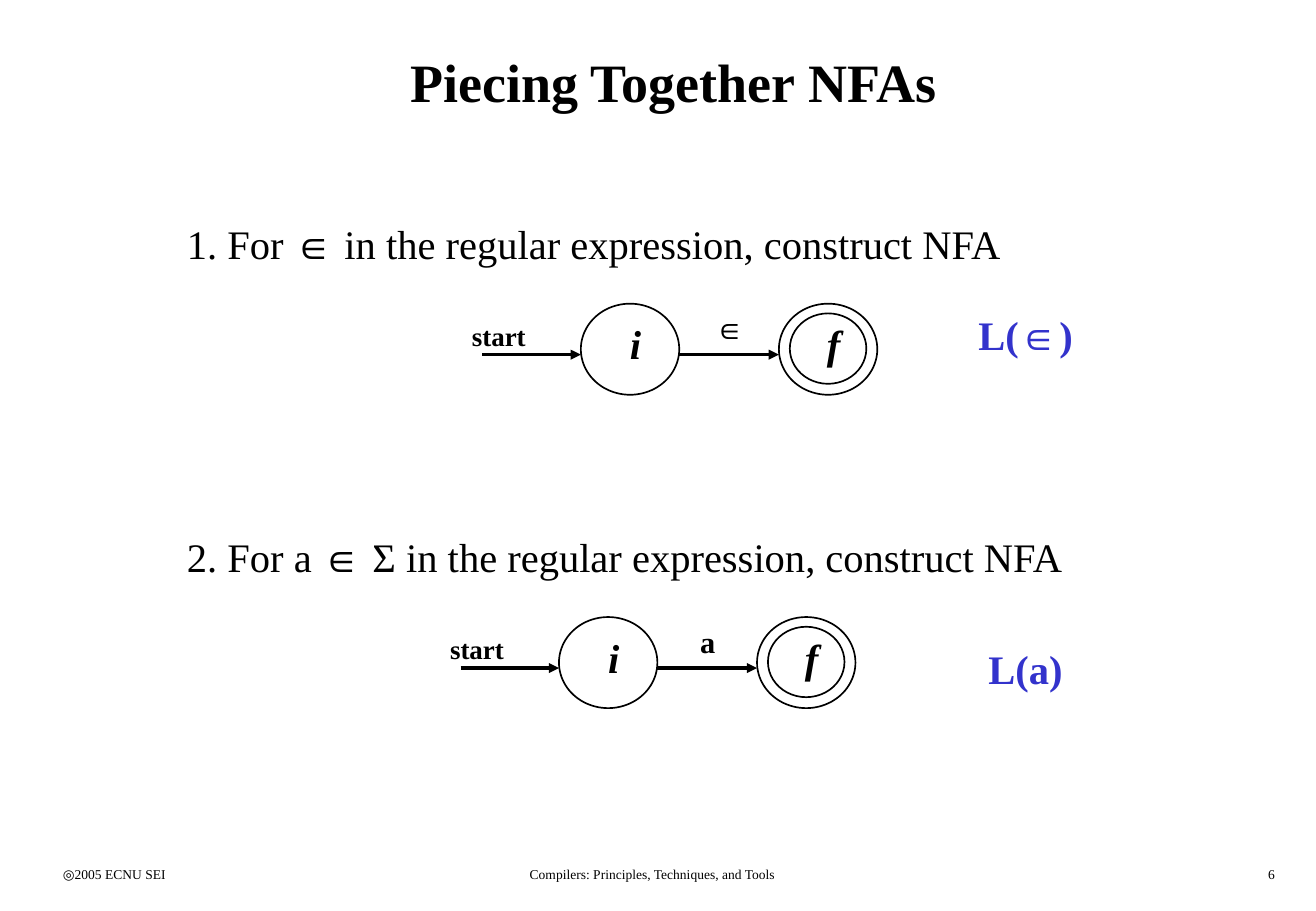
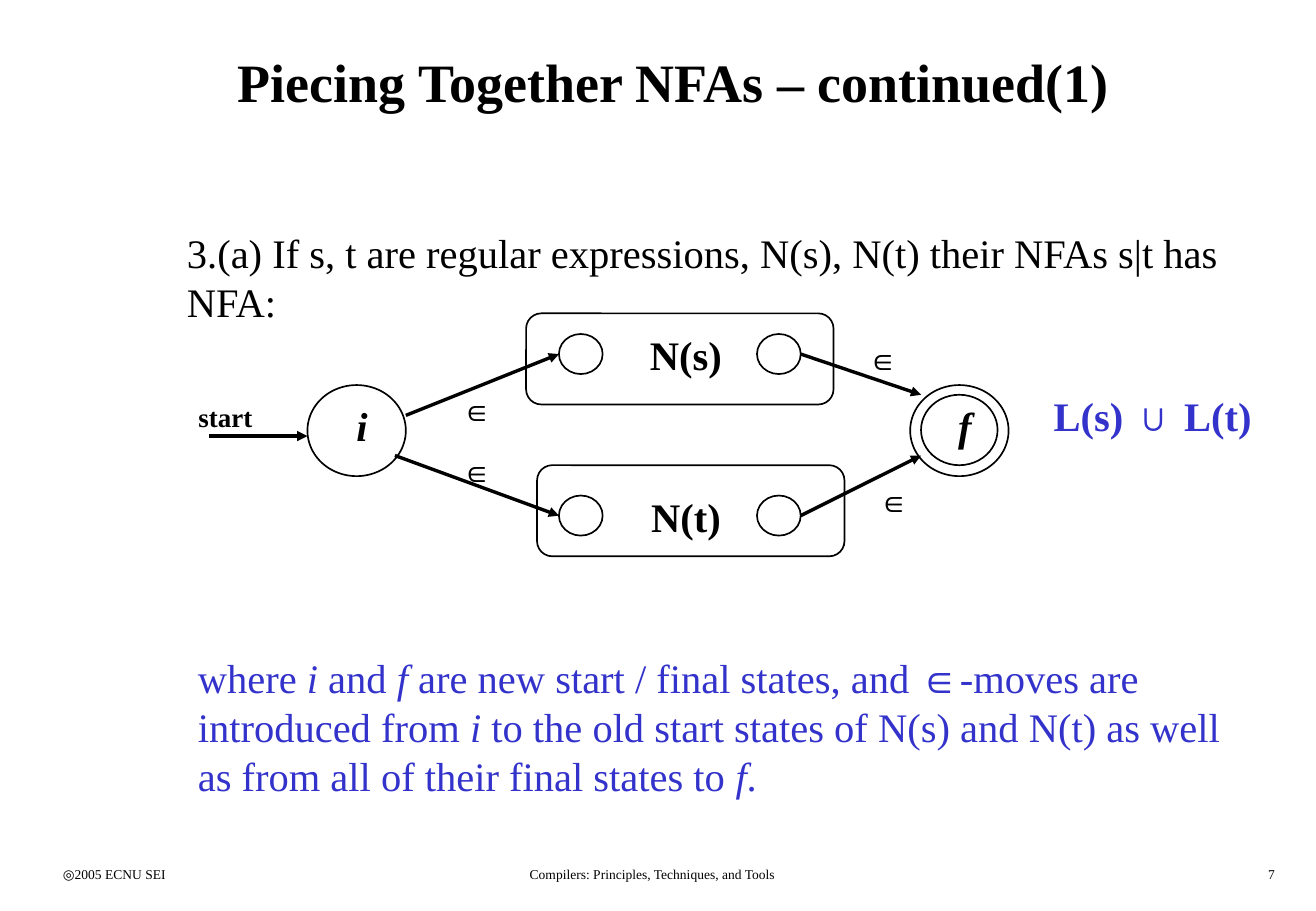
from dataclasses import dataclass

from lxml import etree
from pptx import Presentation
from pptx.dml.color import RGBColor
from pptx.enum import shapes, text
from pptx.oxml import ns
from pptx.util import Inches, Pt


@dataclass(frozen=True)
class Theme:
    font: str = "Times New Roman"
    ink: RGBColor = RGBColor(0, 0, 0)
    accent: RGBColor = RGBColor(0x33, 0x33, 0xCC)
    paper: RGBColor = RGBColor(255, 255, 255)
    title: int = 32
    body: int = 24
    symbol: int = 18
    start: int = 16
    footer: int = 8
    outline: int = 1
    arrow: int = 2


@dataclass(frozen=True)
class Box:
    x: float
    y: float
    w: float
    h: float

    def inner(self, dx, dy, w, h):
        return Box(self.x + dx, self.y + dy, w, h)

    def inches(self):
        return [Inches(v) for v in (self.x, self.y, self.w, self.h)]


T = Theme()
LEFT, CENTER, RIGHT = text.PP_ALIGN.LEFT, text.PP_ALIGN.CENTER, text.PP_ALIGN.RIGHT
OVAL = shapes.MSO_SHAPE.OVAL
ROUNDED = shapes.MSO_SHAPE.ROUNDED_RECTANGLE
STATE_W, STATE_H = 0.81, 0.75
NODE_W, NODE_H = 0.36, 0.33
ARROW_DY = 0.42


def write(tf, runs, size, color=T.ink, align=LEFT, bold=False):
    p = tf.paragraphs[0]
    p.alignment = align
    for words, italic in runs:
        r = p.add_run()
        r.text = words
        f = r.font
        f.name, f.size, f.bold, f.italic = T.font, Pt(size), bold, italic
        f.color.rgb = color


def add_text(parent, box, runs, size=T.body, color=T.ink, align=LEFT, bold=False):
    tf = parent.shapes.add_textbox(*box.inches()).text_frame
    tf.word_wrap = True
    tf.auto_size = text.MSO_AUTO_SIZE.SHAPE_TO_FIT_TEXT
    write(tf, runs, size, color, align, bold)


def add_label(parent, box, words, size=T.body, color=T.ink, italic=False):
    add_text(parent, box, [(words, italic)], size, color, CENTER, True)


def add_outline(parent, kind, box):
    sp = parent.shapes.add_shape(kind, *box.inches())
    sp.shadow.inherit = False
    sp.fill.background()
    sp.line.color.rgb = T.ink
    sp.line.width = Pt(T.outline)


def add_arrow(parent, x1, y1, x2, y2):
    c = parent.shapes.add_connector(
        shapes.MSO_CONNECTOR.STRAIGHT, Inches(x1), Inches(y1), Inches(x2), Inches(y2))
    c.line.color.rgb = T.ink
    c.line.width = Pt(T.arrow)
    etree.SubElement(c.line._get_or_add_ln(), ns.qn("a:tailEnd"), type="triangle")
    etree.SubElement(c._element.spPr, ns.qn("a:effectLst"))


def add_state(parent, box, name):
    add_outline(parent, OVAL, box)
    add_label(parent, box.inner(0.18, 0.08, 0.54, 0.5), name, italic=True)


def add_start_state(parent, box):
    add_state(parent, box, "i")
    y = box.y + ARROW_DY
    add_arrow(parent, box.x - STATE_W, y, box.x, y)
    add_label(parent, box.inner(-1.08, 0.08, 0.81, 0.37), "start", T.start)


def add_final_state(parent, box):
    add_state(parent, box, "f")
    add_outline(parent, OVAL, box.inner(0.09, 0.08, 0.63, 0.58))


def add_symbol(parent, x, y, symbol="∈"):
    add_label(parent, Box(x, y, 0.63, 0.4), symbol, T.symbol)


def add_simple_nfa(s, box, symbol, language_box):
    g = s.shapes.add_group_shape()
    start = box.inner(1.08, 0, STATE_W, STATE_H)
    final = box.inner(2.71, 0, STATE_W, STATE_H)
    add_start_state(g, start)
    add_final_state(g, final)
    y = box.y + ARROW_DY
    add_arrow(g, start.x + STATE_W, y, final.x, y)
    add_symbol(g, start.x + 0.91, box.y, symbol)
    add_label(g, language_box, f"L({symbol})", color=T.accent)


def add_branch(parent, frame, nodes, name):
    add_outline(parent, ROUNDED, frame)
    for dx in (0, nodes.w - NODE_W):
        add_outline(parent, OVAL, nodes.inner(dx, 0, NODE_W, NODE_H))
    add_label(parent, nodes.inner(0.55, -0.08, 0.99, 0.5), name)


def add_union_nfa(s, box):
    g = s.shapes.add_group_shape()
    start = box.inner(1.09, 0.59, STATE_W, STATE_H)
    final = box.inner(6.05, 0.59, STATE_W, STATE_H)
    add_start_state(g, start)
    add_final_state(g, final)
    branches = [
        ("N(s)", 2.89, 0, 0.17, (0.81, 0.25), 0.08),
        ("N(t)", 2.98, 1.25, 1.5, (0.72, 0.58), 0.58),
    ]
    for name, frame_dx, frame_dy, node_dy, (exit_dx, exit_dy), entry_dy in branches:
        nodes = box.inner(3.16, node_dy, 1.99, NODE_H)
        add_branch(g, box.inner(frame_dx, frame_dy, 2.53, 0.75), nodes, name)
        y = nodes.y + NODE_H / 2
        add_arrow(g, start.x + exit_dx, start.y + exit_dy, nodes.x, y)
        add_arrow(g, nodes.x + nodes.w, y, final.x + 0.09, final.y + entry_dy)
    for dx, dy in ((2.17, 0.59), (2.17, 1.09), (5.51, 0.17), (5.6, 1.34)):
        add_symbol(g, box.x + dx, box.y + dy)
    add_label(g, box.inner(7.05, 0.59, 1.99, 0.5), "L(s) ∪ L(t)", color=T.accent)


def add_footer(s, box, number):
    parts = [
        (0, 2.26, "◎2005 ECNU SEI", LEFT),
        (2.92, 4.06, "Compilers: Principles, Techniques, and Tools", CENTER),
        (box.w - 2.26, 2.26, str(number), RIGHT),
    ]
    for dx, w, words, align in parts:
        add_text(s, box.inner(dx, 0, w, box.h), [(words, False)], T.footer, align=align)


def add_slide(prs, title, number):
    s = prs.slides.add_slide(prs.slide_layouts[5])
    s.background.fill.solid()
    s.background.fill.fore_color.rgb = T.paper
    sp = s.shapes.title
    sp.left, sp.top, sp.width, sp.height = Box(0.42, 0.17, 10.25, 1).inches()
    tf = sp.text_frame
    tf.vertical_anchor = text.MSO_ANCHOR.MIDDLE
    write(tf, [(title, False)], T.title, align=CENTER, bold=True)
    add_footer(s, Box(0.42, 7.08, 10.17, 0.25), number)
    return s


def build_basic_slide(prs):
    s = add_slide(prs, "Piecing Together NFAs", 6)
    cases = [
        (1.75, "1. For ∈ in the regular expression, construct NFA", 3.7, "∈", 0),
        (4.33, "2. For a ∈ Σ in the regular expression, construct NFA", 3.52, "a", 0.17),
    ]
    for y, words, x, symbol, language_dy in cases:
        add_text(s, Box(1.44, y, 9.03, 0.5), [(words, False)])
        nfa = Box(x, y + 0.75, 3.52, 0.75)
        add_simple_nfa(s, nfa, symbol, Box(7.58, nfa.y + language_dy, 1.72, 0.5))


def build_union_slide(prs):
    s = add_slide(prs, "Piecing Together NFAs – continued(1)", 7)
    add_text(s, Box(1.44, 1.83, 9.03, 0.9), [
        ("3.(a) If s, t are regular expressions, N(s), N(t) their NFAs s|t has NFA:", False)])
    add_union_nfa(s, Box(1.44, 2.58, 9.04, 2))
    add_text(s, Box(1.53, 5.33, 8.94, 1.3), [
        ("where ", False), ("i", True), (" and ", False), ("f", True),
        (" are new start / final states, and ∈-moves are introduced from ", False),
        ("i", True),
        (" to the old start states of N(s) and N(t) as well as from all of their"
         " final states to ", False),
        ("f", True), (".", False)], color=T.accent)


def main():
    prs = Presentation()
    prs.slide_width, prs.slide_height = Inches(10.83), Inches(7.5)
    build_basic_slide(prs)
    build_union_slide(prs)
    prs.save("out.pptx")


if __name__ == "__main__":
    main()
